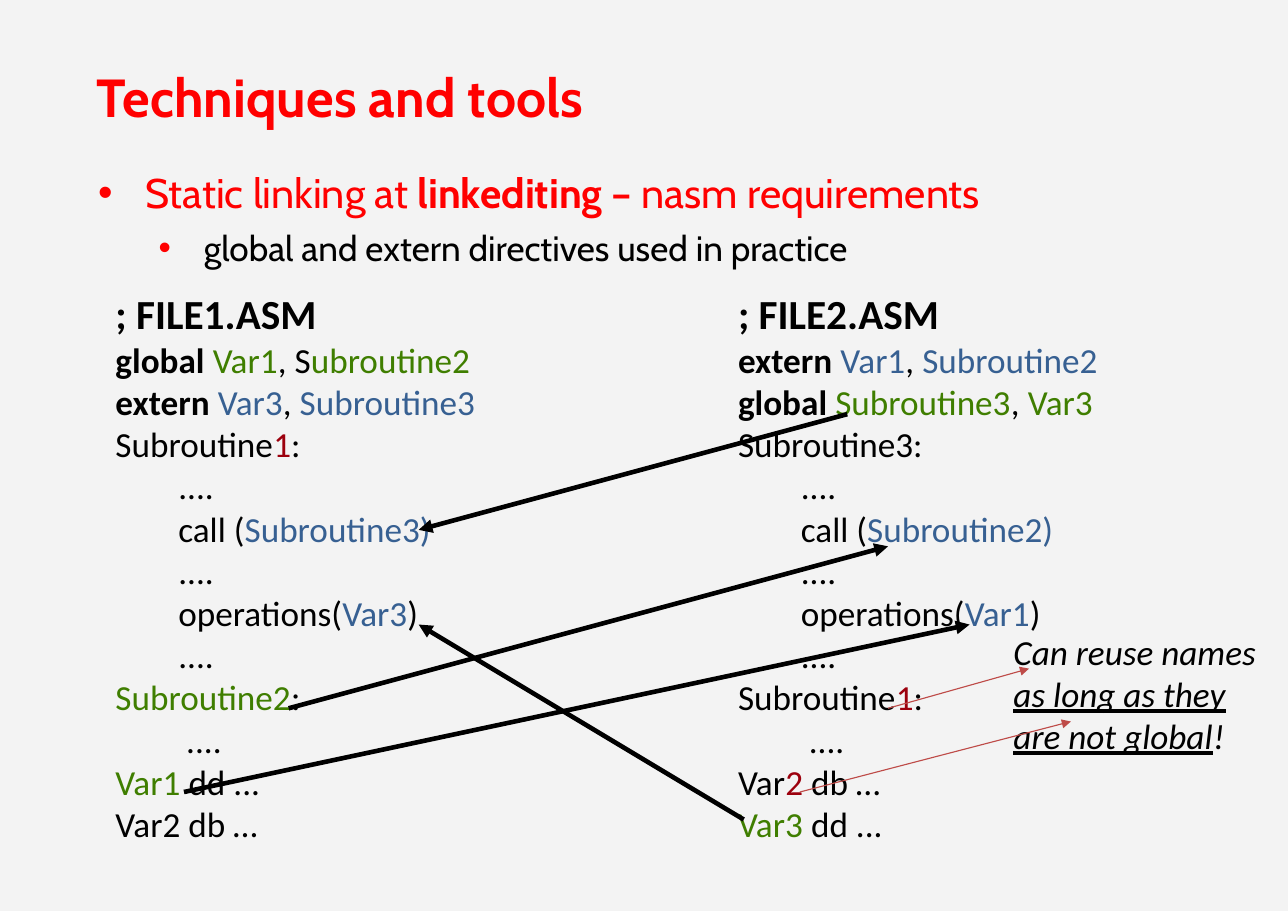
from lxml.etree import SubElement
from pptx import Presentation
from pptx.dml.color import RGBColor
from pptx.enum.shapes import MSO_CONNECTOR
from pptx.enum.text import MSO_ANCHOR, MSO_AUTO_SIZE, PP_ALIGN
from pptx.oxml.ns import qn
from pptx.util import Inches, Pt

COLOURS = {"background": "F3F3F3", "heading": "FF0000", "text": "000000",
           "global": "3F7E00", "extern": "376092", "local": "9C000D",
           "reuse": "BE4B48"}
TAB = 0.57


def add_run(paragraph, text, colour="text", **formats):
    run = paragraph.add_run()
    run.text = text
    run.font.color.rgb = RGBColor.from_string(COLOURS[colour])
    for attribute, value in formats.items():
        setattr(run.font, attribute, value)


def set_frame(frame, anchor=MSO_ANCHOR.TOP):
    settings = {"word_wrap": True, "auto_size": MSO_AUTO_SIZE.NONE,
                "vertical_anchor": anchor,
                "margin_left": Inches(0.1), "margin_right": Inches(0.1),
                "margin_top": Inches(0.05), "margin_bottom": Inches(0.05)}
    for attribute, value in settings.items():
        setattr(frame, attribute, value)
    return frame


prs = Presentation()
prs.slide_width, prs.slide_height = Inches(11.69), Inches(8.27)
slide = prs.slides.add_slide(prs.slide_layouts[1])
slide.background.fill.solid()
slide.background.fill.fore_color.rgb = RGBColor.from_string(COLOURS["background"])

# Title and body positions
title, requirements = slide.shapes.title, slide.placeholders[1]
for placeholder, box in ((title, (0.78, 0.48, 8.4, 0.79)),
                         (requirements, (0.78, 1.46, 9.6, 1.51))):
    placeholder.left, placeholder.top, placeholder.width, placeholder.height = map(Inches, box)

# Title
heading = set_frame(title.text_frame, MSO_ANCHOR.MIDDLE).paragraphs[0]
heading.alignment = PP_ALIGN.LEFT
add_run(heading, "Techniques and tools", "heading", size=Pt(35), name="Cabin", bold=True)

# Bulleted requirements: level, margin, indent, space before, size, runs
bullets = [
    (0, 0.43, -0.43, 6.8, 27, [("Static linking at ", "heading", False),
                               ("linkediting – ", "heading", True),
                               ("nasm requirements", "heading", False)]),
    (1, 0.96, -0.41, 5.8, 23, [("global and extern directives used in practice", "text", False)]),
]
body = set_frame(requirements.text_frame)
body.margin_left = body.margin_right = Inches(0.11)
body.margin_top = body.margin_bottom = Inches(0.06)
for level, margin, indent, space, size, runs in bullets:
    bullet = body.add_paragraph() if level else body.paragraphs[0]
    bullet.level, bullet.space_before = level, Pt(space)
    properties = bullet._p.get_or_add_pPr()
    properties.set("marL", str(Inches(margin)))
    properties.set("indent", str(Inches(indent)))
    bullet_colour = SubElement(properties, qn("a:buClr"))
    SubElement(bullet_colour, qn("a:srgbClr"), val=COLOURS["heading"])
    SubElement(properties, qn("a:buFont"), typeface="Arial")
    SubElement(properties, qn("a:buChar"), char="•")
    for text, colour, bold in runs:
        add_run(bullet, text, colour, size=Pt(size), name="Cabin", bold=bold)

# Source listings: each line is a list of (text, colour); directives are bold
directives = ("global ", "extern ")
dots = [("\t....", "text")]
file1 = [
    [("; FILE1.ASM", "text")],
    [("global ", "text"), ("Var1", "global"), (", S", "text"), ("ubroutine2", "global")],
    [("extern ", "text"), ("Var3", "extern"), (", ", "text"), ("Subroutine3", "extern")],
    [("Subroutine", "text"), ("1", "local"), (":", "text")],
    dots,
    [("\tcall (", "text"), ("Subroutine3)", "extern")],
    dots,
    [("\toperations(", "text"), ("Var3", "extern"), (")", "text")],
    dots,
    [("Subroutine2", "global"), (":", "text")],
    [("\t ....", "text")],
    [("Var1", "global"), (" dd ...", "text")],
    [("Var2 db …", "text")],
]
file2 = [
    [("; FILE2.ASM", "text")],
    [("extern ", "text"), ("Var1", "extern"), (", ", "text"), ("Subroutine2", "extern")],
    [("global ", "text"), ("Subroutine3", "global"), (", ", "text"), ("Var3", "global")],
    [("Subroutine3:", "text")],
    dots,
    [("\tcall (", "text"), ("Subroutine2)", "extern")],
    dots,
    [("\toperations(", "text"), ("Var1", "extern"), (")", "text")],
    dots,
    [("Subroutine", "text"), ("1", "local"), (":", "text")],
    [("\t ....", "text")],
    [("Var", "text"), ("2", "local"), (" db …", "text")],
    [("Var3", "global"), (" dd ...", "text")],
]
for left, width, listing in ((0.95, 3.9, file1), (6.6, 3.98, file2)):
    box = slide.shapes.add_textbox(Inches(left), Inches(2.57), Inches(width), Inches(5.14))
    code = set_frame(box.text_frame)
    for number, runs in enumerate(listing):
        line = code.add_paragraph() if number else code.paragraphs[0]
        tabs = SubElement(line._p.get_or_add_pPr(), qn("a:tabLst"))
        SubElement(tabs, qn("a:tab"), pos=str(Inches(TAB)), algn="l")
        for text, colour in runs:
            add_run(line, text, colour, name="Calibri", size=Pt(23 if number else 27),
                    bold=number == 0 or text in directives)

# Remark on reusing names
box = slide.shapes.add_textbox(Inches(9.1), Inches(5.67), Inches(2.59), Inches(1.25))
remark = set_frame(box.text_frame).paragraphs[0]
for text, underline in (("Can reuse names ", False),
                        ("as long as they are not global", True), ("!", False)):
    add_run(remark, text, size=Pt(23), name="Calibri", italic=True, underline=underline)

# Arrows: definition to use in black, reusable local names in red
arrows = [
    (7.69, 3.76, 3.8, 4.81, "text", 3),
    (6.75, 7.44, 3.8, 5.67, "text", 3),
    (2.62, 6.43, 8.06, 4.96, "text", 3),
    (1.67, 7.19, 8.8, 5.67, "text", 3),
    (7.26, 7.19, 9.72, 6.55, "reuse", 0.75),
    (8.06, 6.43, 9.34, 6.07, "reuse", 0.75),
]
for *ends, colour, weight in arrows:
    arrow = slide.shapes.add_connector(MSO_CONNECTOR.STRAIGHT, *map(Inches, ends))
    arrow.line.color.rgb = RGBColor.from_string(COLOURS[colour])
    arrow.line.width = Pt(weight)
    SubElement(arrow.line._get_or_add_ln(), qn("a:tailEnd"), type="triangle")
    SubElement(arrow._element.spPr, qn("a:effectLst"))

prs.save("out.pptx")
